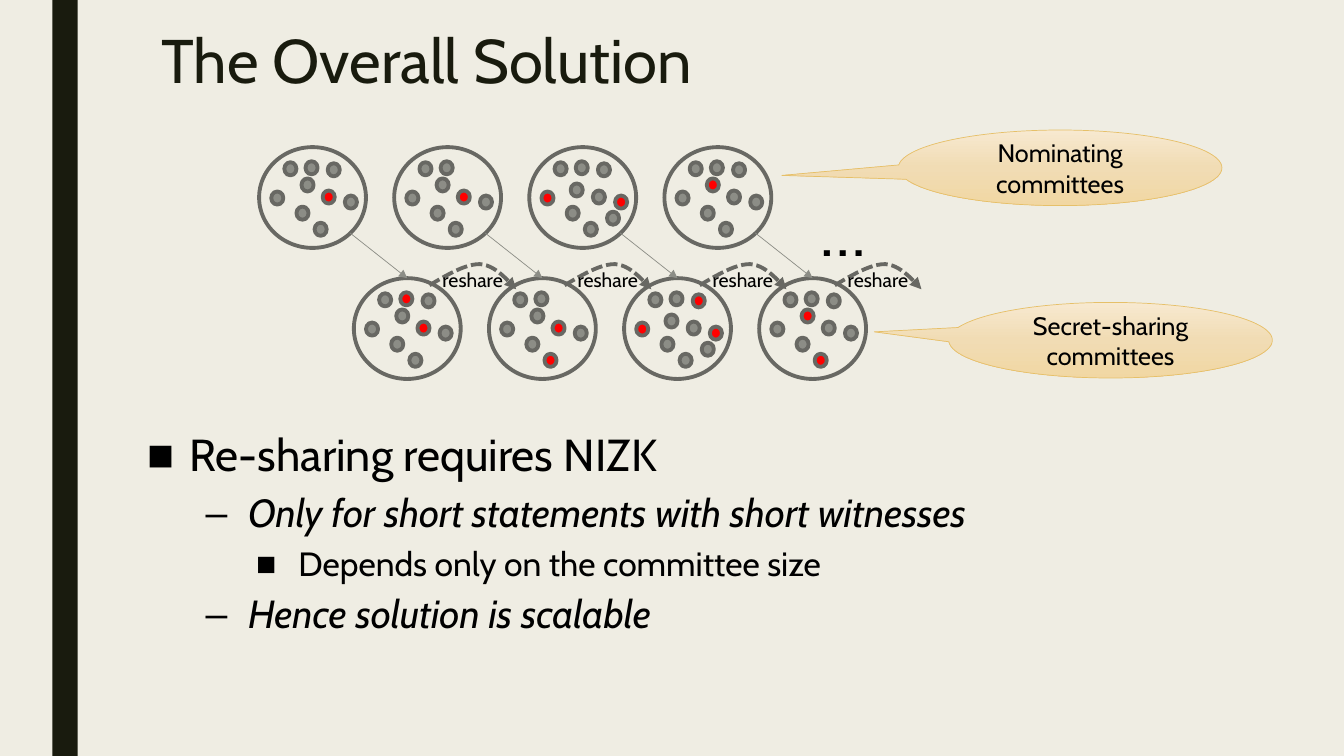
import pptx
import pptx.dml.color
import pptx.enum.dml
import pptx.enum.shapes
import pptx.enum.text
import pptx.oxml
import pptx.oxml.ns
import pptx.util
import copy
from pptx.util import Inches

COLORS = {
    "background": "EFEDE3", "bar": "191B0E", "text": "000000",
    "outline": "686863", "member": "8C8D86", "corrupt": "FF0000",
    "callout_top": "F7E9D0", "callout_middle": "F1DCB4",
    "callout_bottom": "F1D7A3", "callout_line": "E6C069",
}
FONT = "Cabin"
SHAPES = pptx.enum.shapes.MSO_SHAPE
ANCHORS = pptx.enum.text.MSO_ANCHOR
ALIGNMENTS = pptx.enum.text.PP_ALIGN

STEP = 1.34
CIRCLE_WIDTH, CIRCLE_HEIGHT = 1.06, 1
SEATS = {
    "a": (0.25, 0.15), "b": (0.42, 0.31), "c": (0.12, 0.44), "d": (0.37, 0.59),
    "e": (0.55, 0.75), "f": (0.68, 0.16), "g": (0.63, 0.43), "h": (0.85, 0.48),
    "i": (0.46, 0.14), "j": (0.41, 0.36), "k": (0.77, 0.64),
}
MEMBERS = ["abcdefghi", "abcdeghi", "ajcdefghik", "abcdefghi"]
NOMINATING_CORRUPT = ["g", "g", "ch", "b"]
SHARING_CORRUPT = ["gi", "eg", "cfh", "be"]
BULLETS = [
    (0, "Re-sharing requires NIZK"),
    (1, "Only for short statements with short witnesses"),
    (2, "Depends only on the committee size"),
    (1, "Hence solution is scalable"),
]
LEVELS = [("■", 0.42, 32, False), ("–", 1, 28, True), ("■", 1.5, 24, False)]


def color(name):
    return pptx.dml.color.RGBColor.from_string(COLORS[name])


def add_text(paragraph, text, size, shade="text", italic=False,
             align=ALIGNMENTS.LEFT, spacing=None):
    paragraph.alignment = align
    if spacing:
        paragraph.line_spacing = spacing
    run = paragraph.add_run()
    run.text = text
    run.font.name = FONT
    run.font.size = pptx.util.Pt(size)
    run.font.italic = italic
    run.font.color.rgb = color(shade)


def place(shape, box):
    shape.left, shape.top, shape.width, shape.height = map(Inches, box)


def add_label(slide, box, text, size):
    label = slide.shapes.add_textbox(*map(Inches, box))
    label.text_frame.word_wrap = False
    add_text(label.text_frame.paragraphs[0], text, size)


def style_line(shape, shade, width):
    shape.line.color.rgb = color(shade)
    shape.line.width = pptx.util.Pt(width)


def add_arrowhead(shape):
    line = shape.line._get_or_add_ln()
    pptx.oxml.ns.qn("a:tailEnd")
    line.append(pptx.oxml.parse_xml(
        f'<a:tailEnd {pptx.oxml.ns.nsdecls("a")} type="triangle"/>'))


def add_preset(slide, kind, box, fill=None, line=None, width=2.75):
    shape = slide.shapes.add_shape(kind, *map(Inches, box))
    shape.shadow.inherit = False
    if fill:
        shape.fill.solid()
        shape.fill.fore_color.rgb = color(fill)
    else:
        shape.fill.background()
    if line:
        style_line(shape, line, width)
    else:
        shape.line.fill.background()
    return shape


def add_committee(slide, left, top, members, corrupt):
    add_preset(slide, SHAPES.OVAL, (left, top, CIRCLE_WIDTH, CIRCLE_HEIGHT), line="outline")
    for seat in members:
        x, y = SEATS[seat]
        add_preset(slide, SHAPES.OVAL, (left + x, top + y, 0.12, 0.13),
                   "corrupt" if seat in corrupt else "member", "outline")


def add_nomination_arrow(slide, left, top):
    arrow = slide.shapes.add_connector(
        pptx.enum.shapes.MSO_CONNECTOR.STRAIGHT,
        *map(Inches, (left, top, left + 0.57, top + 0.45)))
    style_line(arrow, "member", 0.5)
    add_arrowhead(arrow)
    arrow._element.spPr.append(pptx.oxml.parse_xml(
        f'<a:effectLst {pptx.oxml.ns.nsdecls("a")}/>'))


def bezier(start, control_one, control_two, end, steps=12):
    for index in range(1, steps + 1):
        t = index / steps
        weights = ((1 - t) ** 3, 3 * t * (1 - t) ** 2, 3 * t * t * (1 - t), t ** 3)
        yield tuple(sum(weight * point[axis] for weight, point in
                        zip(weights, (start, control_one, control_two, end)))
                    for axis in (0, 1))


def add_reshare_arrow(slide, left, top):
    start, crest = (0, 0.21), (0.5, 0)
    points = list(bezier(start, (0.17, 0.11), (0.35, 0), crest))
    points += bezier(crest, (0.64, 0.01), (0.75, 0.13), (0.86, 0.25))
    builder = slide.shapes.build_freeform(Inches(left), Inches(top + start[1]))
    builder.add_line_segments(
        [(Inches(left + x), Inches(top + y)) for x, y in points], close=False)
    arrow = builder.convert_to_shape()
    arrow.shadow.inherit = False
    arrow.fill.background()
    style_line(arrow, "outline", 2.75)
    arrow.line.dash_style = pptx.enum.dml.MSO_LINE.SQUARE_DOT
    add_arrowhead(arrow)


def add_committees(slide, left, top):
    for index, members in enumerate(MEMBERS):
        x = left + index * STEP
        add_committee(slide, x, top, members, NOMINATING_CORRUPT[index])
        add_committee(slide, x + 0.94, top + 1.3, members, SHARING_CORRUPT[index])
        add_nomination_arrow(slide, x + 0.9, top + 0.85)
        add_reshare_arrow(slide, x + 1.69, top + 1.16)
        add_label(slide, (x + 1.72, top + 1.15, 0.84, 0.33), "reshare", 14)
    add_label(slide, (left + 5.47, top + 0.37, 0.56, 0.89), "…", 48)


def add_callout(slide, box, text, pointer):
    callout = add_preset(slide, SHAPES.OVAL_CALLOUT, box, line="callout_line", width=0.5)
    callout.adjustments[0], callout.adjustments[1] = pointer
    callout.fill.gradient()
    callout.fill.gradient_angle = 270
    for stop, shade in zip(callout.fill.gradient_stops, ("callout_middle", "callout_bottom")):
        stop.color.rgb = color(shade)
    stops = callout._element.spPr.find(".//" + pptx.oxml.ns.qn("a:gsLst"))
    stops.insert(0, copy.deepcopy(stops[0]))
    for stop, position in zip(callout.fill.gradient_stops, (0, 0.5, 1)):
        stop.position = position
    callout.fill.gradient_stops[0].color.rgb = color("callout_top")
    callout.text_frame.word_wrap = True
    callout.text_frame.vertical_anchor = ANCHORS.MIDDLE
    add_text(callout.text_frame.paragraphs[0], text, 18, align=ALIGNMENTS.CENTER)


def fill_title(title, box):
    place(title, box)
    frame = title.text_frame
    frame.auto_size = pptx.enum.text.MSO_AUTO_SIZE.NONE
    frame.vertical_anchor = ANCHORS.TOP
    add_text(frame.paragraphs[0], "The Overall Solution", 44, "bar", spacing=0.89)


def fill_body(body, box):
    place(body, box)
    frame = body.text_frame
    frame.auto_size = pptx.enum.text.MSO_AUTO_SIZE.NONE
    frame.vertical_anchor = ANCHORS.TOP
    for index, (level, text) in enumerate(BULLETS):
        paragraph = frame.add_paragraph() if index else frame.paragraphs[0]
        bullet, indent, size, italic = LEVELS[level]
        paragraph.level = level
        paragraph.space_before = pptx.util.Pt(5 if index else 0)
        paragraph.space_after = pptx.util.Pt(2)
        properties = paragraph._p.get_or_add_pPr()
        properties.set("marL", str(Inches(indent)))
        properties.set("indent", str(Inches(-0.42)))
        properties.append(pptx.oxml.parse_xml(
            f'<a:buChar {pptx.oxml.ns.nsdecls("a")} char="{bullet}"/>'))
        add_text(paragraph, text, size, italic=italic, spacing=0.94)


def main():
    presentation = pptx.Presentation()
    presentation.slide_width, presentation.slide_height = Inches(13.33), Inches(7.5)
    slide = presentation.slides.add_slide(presentation.slide_layouts[1])
    slide.background.fill.solid()
    slide.background.fill.fore_color.rgb = color("background")
    add_preset(slide, SHAPES.RECTANGLE, (0.52, 0, 0.25, 7.5), "bar")
    fill_title(slide.shapes.title, (1.5, 0.26, 10.5, 1.08))
    fill_body(slide.placeholders[1], (1.36, 4.23, 11.89, 2.89))
    add_committees(slide, 2.57, 1.46)
    add_callout(slide, (8.91, 1.29, 3.21, 0.75), "Nominating committees", (-0.86, 0.1))
    add_callout(slide, (9.41, 3, 3.21, 0.75), "Secret-sharing committees", (-0.73, -0.11))
    presentation.save("out.pptx")


if __name__ == "__main__":
    main()
